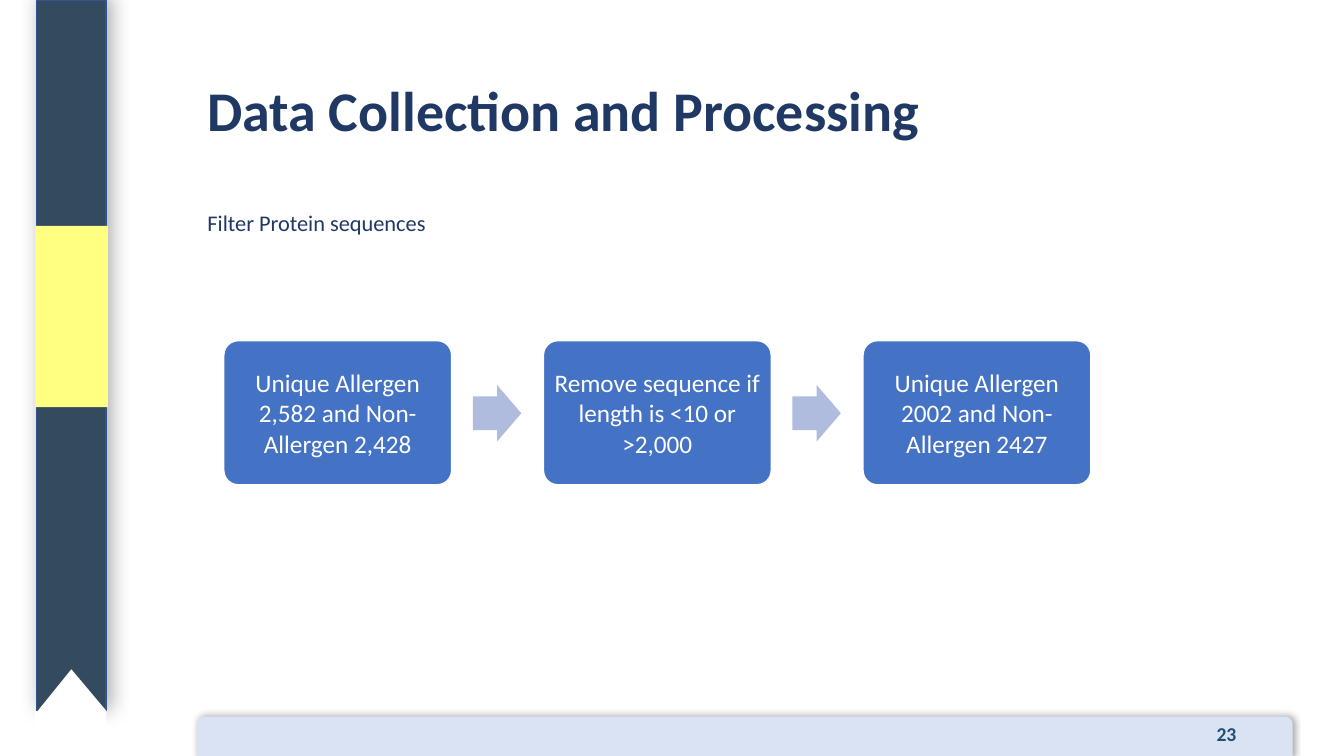
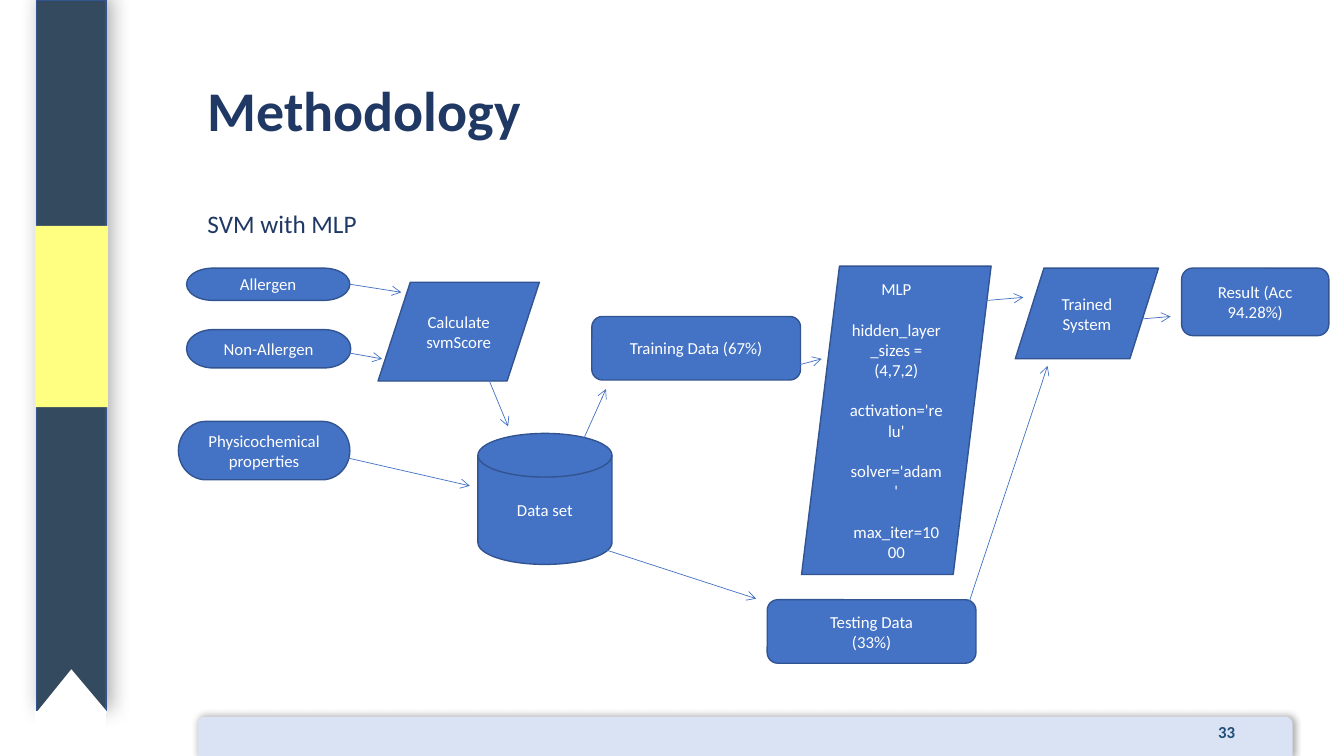
"""Build two flow diagram slides that share a ribbon, a title style and a footer band."""
from lxml import etree
from pptx import Presentation
from pptx import util as u
from pptx.dml.color import RGBColor
from pptx.enum import shapes, text
from pptx.oxml.ns import qn

EMU_PER_PX = 9144
FONT = "Calibri"
WHITE = RGBColor(0xFF, 0xFF, 0xFF)
NAVY = RGBColor(0x20, 0x38, 0x64)
NUMBER_BLUE = RGBColor(0x1F, 0x4E, 0x79)
SLATE = RGBColor(0x34, 0x4A, 0x5E)
YELLOW = RGBColor(0xFF, 0xFF, 0x81)
PALE_BLUE = RGBColor(0xDA, 0xE3, 0xF3)
BLUE = RGBColor(0x44, 0x72, 0xC4)
EDGE_BLUE = RGBColor(0x32, 0x54, 0x91)
ARROW_BLUE = RGBColor(0xB0, 0xBC, 0xDE)

KIND = shapes.MSO_SHAPE
TERMINATOR = KIND.FLOWCHART_TERMINATOR
INPUT_OUTPUT = KIND.FLOWCHART_DATA
PROCESS = KIND.FLOWCHART_ALTERNATE_PROCESS
DISK = KIND.FLOWCHART_MAGNETIC_DISK

FILTER_STEPS = [
    "Unique Allergen 2,582 and Non-Allergen 2,428",
    "Remove sequence if length is <10 or >2,000",
    "Unique Allergen 2002 and Non-Allergen 2427",
]
MLP_SETTINGS = "\n".join([
    "MLP",
    "hidden_layer_sizes = (4,7,2)",
    "activation='relu'",
    "solver='adam'",
    "max_iter=1000",
])
METHOD_NODES = [
    (DISK, (474, 430, 133, 130), "Data set", 0),
    (TERMINATOR, (185, 266, 162, 32), "Allergen", 0),
    (TERMINATOR, (185, 327, 163, 38), "Non-Allergen", 0),
    (INPUT_OUTPUT, (375, 280, 160, 98), "Calculate svmScore", 0),
    (TERMINATOR, (177, 418, 170, 58), "Physicochemical properties", 0),
    (PROCESS, (587, 314, 207, 63), "Training Data (67%)", 0),
    (PROCESS, (761, 595, 207, 63), "Testing Data\n(33%)", 0),
    (INPUT_OUTPUT, (795, 264, 188, 306), MLP_SETTINGS, 14.6),
    (INPUT_OUTPUT, (1007, 266, 142, 90), "Trained System", 0),
    (PROCESS, (1172, 266, 146, 67), "Result (Acc 94.28%)", 0),
]
METHOD_ARROWS = [
    (347, 282, 398, 290),
    (328, 347, 379, 356),
    (339, 453, 466, 482),
    (480, 365, 504, 423),
    (587, 541, 750, 594),
    (571, 453, 601, 386),
    (781, 365, 815, 356),
    (968, 299, 1015, 295),
    (954, 619, 1039, 363),
    (1114, 318, 1161, 314),
]


def px(lengths):
    return [u.Emu(length * EMU_PER_PX) for length in lengths]


class Deck:
    def __init__(self, width, height):
        self.presentation = Presentation()
        self.presentation.slide_width, self.presentation.slide_height = px((width, height))
        self.slide = None

    def new_slide(self, title, subtitle, subtitle_size, number, number_size):
        layout = self.presentation.slide_layouts[6]
        self.slide = self.presentation.slides.add_slide(layout)
        ribbon = self.shape(KIND.RECTANGLE, (36, 0, 69, 706), SLATE, EDGE_BLUE)
        self.shadow(ribbon, 14, 4)
        notch = self.shape(KIND.ISOSCELES_TRIANGLE, (36, 664, 71, 43), WHITE)
        notch.adjustments[0] = 0.49
        self.shape(KIND.RECTANGLE, (35, 706, 70, 43), WHITE, WHITE)
        self.shape(KIND.RECTANGLE, (35, 224, 72, 180), YELLOW)
        band = self.shape(KIND.ROUND_2_SAME_RECTANGLE, (196, 711, 1086, 41), PALE_BLUE)
        self.shadow(band, 5, 1)
        self.text_box((196, 40, 1084, 145), title, 40, NAVY, bold=True,
                      anchor=text.MSO_ANCHOR.MIDDLE, line_spacing=0.9)
        self.text_box((1150, 711, 133, 39), str(number), number_size, NUMBER_BLUE,
                      bold=True, align=text.PP_ALIGN.CENTER)
        self.text_box((196, 200, 1084, 45), subtitle, subtitle_size, NAVY,
                      insets=(10, 10), line_spacing=0.9)

    def shape(self, kind, box, fill, line=None):
        shape = self.slide.shapes.add_shape(kind, *px(box))
        shape.shadow.inherit = False
        shape.fill.solid()
        shape.fill.fore_color.rgb = fill
        if line is None:
            shape.line.fill.background()
        else:
            shape.line.color.rgb = line
            shape.line.width = u.Pt(1)
        return shape

    def shadow(self, shape, blur, distance):
        effects = shape._element.spPr.find(qn("a:effectLst"))
        outer = etree.SubElement(effects, qn("a:outerShdw"), blurRad=str(u.Pt(blur)),
                                 dist=str(u.Pt(distance)), dir=str(315 * 60000),
                                 algn="bl", rotWithShape="0")
        color = etree.SubElement(outer, qn("a:srgbClr"), val="000000")
        etree.SubElement(color, qn("a:alpha"), val="33000")

    def set_text(self, shape, words, size, color, bold=False, align=text.PP_ALIGN.LEFT,
                 anchor=text.MSO_ANCHOR.TOP, insets=(10, 5), line_spacing=1.0, gap=0):
        frame = shape.text_frame
        frame.text = words
        frame.word_wrap = True
        frame.vertical_anchor = anchor
        frame.margin_left, frame.margin_top = px(insets)
        frame.margin_right, frame.margin_bottom = px(insets)
        for index, paragraph in enumerate(frame.paragraphs):
            paragraph.alignment = align
            paragraph.line_spacing = line_spacing
            paragraph.space_before = u.Pt(gap if index else 0)
            for run in paragraph.runs:
                run.font.name = FONT
                run.font.size = u.Pt(size)
                run.font.bold = bold
                run.font.color.rgb = color

    def text_box(self, box, words, size, color, **style):
        self.set_text(self.slide.shapes.add_textbox(*px(box)), words, size, color, **style)

    def node(self, kind, box, words, size=12, line=EDGE_BLUE, **style):
        shape = self.shape(kind, box, BLUE, line)
        self.set_text(shape, words, size, WHITE, align=text.PP_ALIGN.CENTER,
                      anchor=text.MSO_ANCHOR.MIDDLE, **style)
        return shape

    def arrow(self, ends):
        connector = self.slide.shapes.add_connector(shapes.MSO_CONNECTOR.STRAIGHT, *px(ends))
        connector.line.color.rgb = BLUE
        connector.line.width = u.Pt(0.5)
        properties = connector._element.spPr
        etree.SubElement(properties.find(qn("a:ln")), qn("a:tailEnd"), type="arrow")
        etree.SubElement(properties, qn("a:effectLst"))


def add_filter_slide(deck):
    deck.new_slide("Data Collection and Processing", "Filter Protein sequences", 16, 23, 14)
    left, step = 222, 317
    for index, words in enumerate(FILTER_STEPS):
        x = left + index * step
        box = deck.node(KIND.ROUNDED_RECTANGLE, (x, 338, 226, 143), words, 18, WHITE,
                        insets=(3, 7))
        box.adjustments[0] = 0.1
        if index < len(FILTER_STEPS) - 1:
            arrow = deck.shape(KIND.RIGHT_ARROW, (x + 247, 382, 48, 56), ARROW_BLUE)
            arrow.adjustments[0] = 0.6


def add_method_slide(deck):
    deck.new_slide("Methodology", "SVM with MLP", 18, 33, 12)
    for kind, box, words, gap in METHOD_NODES:
        deck.node(kind, box, words, gap=gap)
    for ends in METHOD_ARROWS:
        deck.arrow(ends)


def main():
    deck = Deck(1333, 750)
    add_filter_slide(deck)
    add_method_slide(deck)
    deck.presentation.save("out.pptx")


if __name__ == "__main__":
    main()
